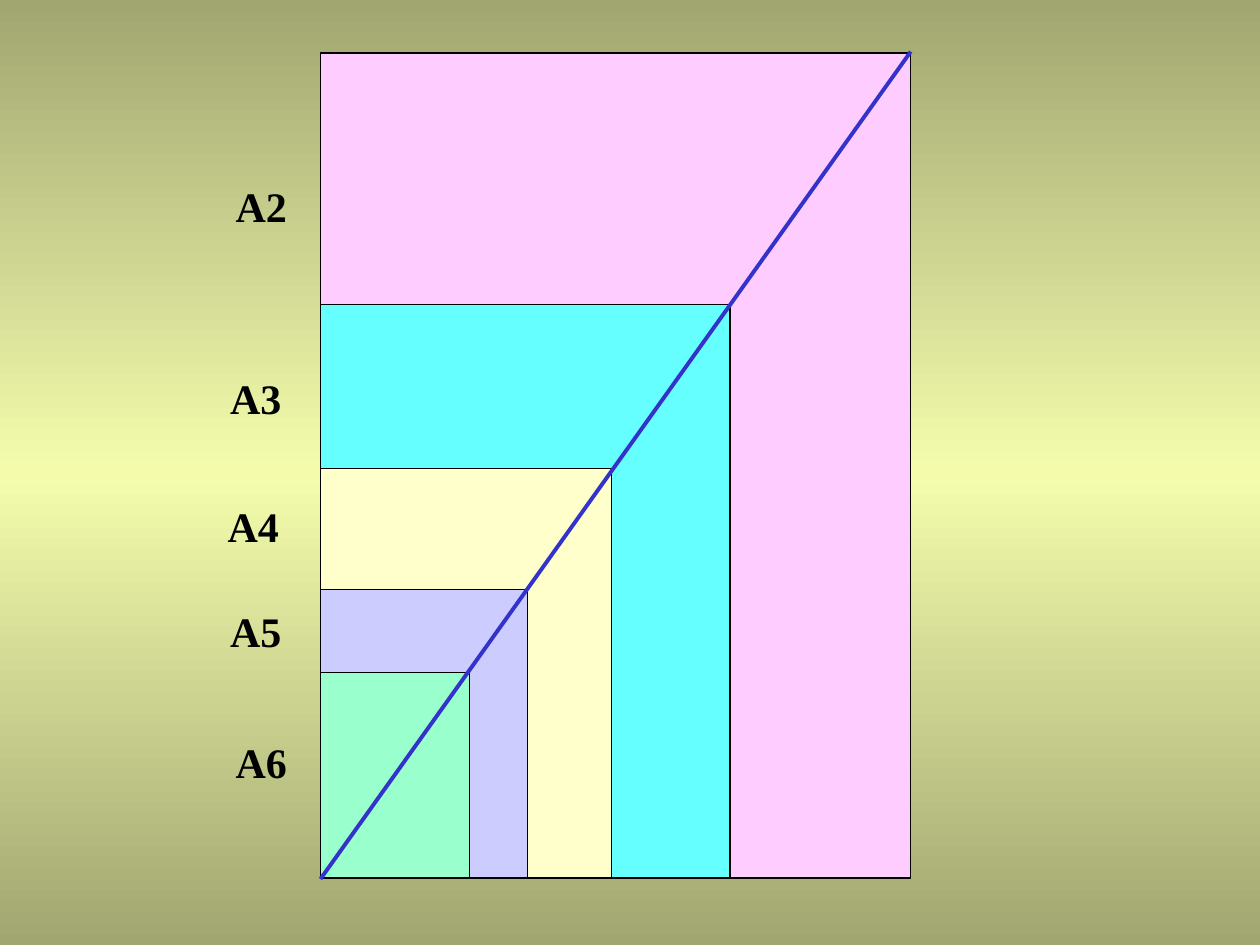
from copy import deepcopy

from pptx import Presentation, util as u
from pptx.dml import color as c
from pptx.enum import shapes, text
from pptx.oxml import ns, xmlchemy as x

COLORS = {
    "edge": "A1A671", "middle": "F4FCAC", "black": "000000", "diagonal": "3333CC",
    "A2": "FFCCFF", "A3": "66FFFF", "A4": "FFFFCC", "A5": "CCCCFF", "A6": "99FFCC",
}
RGB = {name: c.RGBColor.from_string(value) for name, value in COLORS.items()}
LABEL_FONT = {"name": "Times New Roman", "size": u.Pt(24), "bold": True}
LABEL_FRAME = {
    "word_wrap": False, "auto_size": text.MSO_AUTO_SIZE.SHAPE_TO_FIT_TEXT,
    "margin_left": u.Cm(0.25), "margin_right": u.Cm(0.25),
    "margin_top": u.Cm(0.13), "margin_bottom": u.Cm(0.13),
}
LEFT, BOTTOM = 6.46, 17.7
SHEETS = [
    ("A2", 11.89, 16.63, 4.5, 3.51),
    ("A3", 8.26, 11.56, 4.39, 7.37),
    ("A4", 5.87, 8.26, 4.34, 9.96),
    ("A5", 4.17, 5.82, 4.39, 12.07),
    ("A6", 3, 4.14, 4.5, 14.71),
]

prs = Presentation()
prs.slide_width, prs.slide_height = u.Cm(25.4), u.Cm(19.05)
s = prs.slides.add_slide(prs.slide_layouts[6])

fill = s.background.fill
fill.gradient()
fill.gradient_angle = 90
stops = s.element.find(".//" + ns.qn("a:gsLst"))
stops.append(deepcopy(stops[-1]))
for stop, position, name in zip(fill.gradient_stops, (0, 0.5, 1), ("edge", "middle", "edge")):
    stop.position = position
    stop.color.rgb = RGB[name]

for name, width, height, label_x, label_y in SHEETS:
    group = s.shapes.add_group_shape()
    sp = group.shapes.add_shape(
        shapes.MSO_SHAPE.RECTANGLE,
        u.Cm(LEFT), u.Cm(BOTTOM - height), u.Cm(width), u.Cm(height))
    sp.shadow.inherit = False
    sp.fill.solid()
    sp.fill.fore_color.rgb = RGB[name]
    sp.line.color.rgb = RGB["black"]
    sp.line.width = u.Pt(0.75)

    label = group.shapes.add_textbox(u.Cm(label_x), u.Cm(label_y), u.Cm(1.75), u.Cm(1.27))
    tf = label.text_frame
    for key, value in LABEL_FRAME.items():
        setattr(tf, key, value)
    p = tf.paragraphs[0]
    r = p.add_run()
    r.text = name
    for key, value in LABEL_FONT.items():
        setattr(r.font, key, value)
    r.font.color.rgb = RGB["black"]

diagonal = s.shapes.add_connector(
    shapes.MSO_CONNECTOR.STRAIGHT, u.Cm(18.36), u.Cm(1.04), u.Cm(LEFT), u.Cm(17.72))
diagonal.line.color.rgb = RGB["diagonal"]
diagonal.line.width = u.Pt(2.25)
diagonal.element.spPr.append(x.OxmlElement("a:effectLst"))

prs.save("out.pptx")
